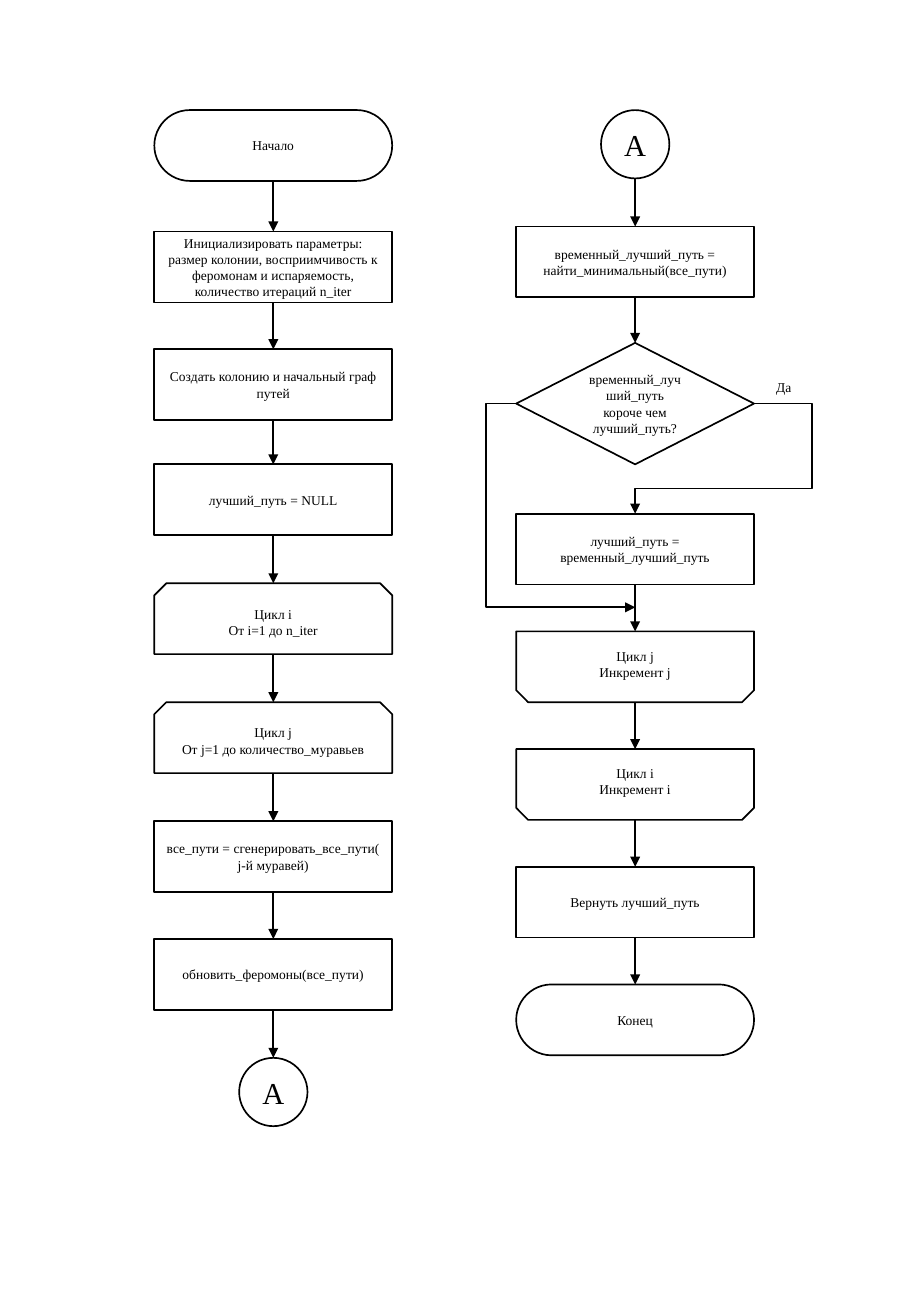
"""Builds a two-column flowchart of an ant colony algorithm."""
from lxml.etree import SubElement
from pptx import Presentation
from pptx.dml.color import RGBColor
from pptx.enum.shapes import MSO_CONNECTOR, MSO_SHAPE
from pptx.enum.text import MSO_ANCHOR, PP_ALIGN
from pptx.oxml.ns import qn
from pptx.util import Emu, Pt

BLACK = RGBColor(0, 0, 0)
WHITE = RGBColor(255, 255, 255)
FONT = "Times New Roman"
TEXT_SIZE = 8
LETTER_SIZE = 18

LEFT_X, RIGHT_X = 216, 502
BLOCK_W, BLOCK_H = 188, 56
DECISION_H = 96
CIRCLE = 54

RECT = MSO_SHAPE.RECTANGLE
TERMINAL = MSO_SHAPE.ROUNDED_RECTANGLE
LOOP = MSO_SHAPE.SNIP_2_SAME_RECTANGLE
DECISION = MSO_SHAPE.DIAMOND
LINK = MSO_SHAPE.OVAL
FOUR_SIDED = (RECT, TERMINAL, DECISION)
LOOP_START, LOOP_END = (0.17, 0), (0, 0.17)
SIZES = {LINK: (CIRCLE, CIRCLE), DECISION: (BLOCK_W, DECISION_H)}

LEFT_STEPS = [
    (87, TERMINAL, "Начало", (0.5,)),
    (183, RECT, "Инициализировать параметры: размер колонии, восприимчивость к "
                "феромонам и испаряемость, количество итераций n_iter", ()),
    (276, RECT, "Создать колонию и начальный граф путей", ()),
    (367, RECT, "лучший_путь = NULL", ()),
    (461, LOOP, "Цикл i\nОт i=1 до n_iter", LOOP_START),
    (555, LOOP, "Цикл j\nОт j=1 до количество_муравьев", LOOP_START),
    (649, RECT, "все_пути = сгенерировать_все_пути(\nj-й муравей)", ()),
    (742, RECT, "обновить_феромоны(все_пути)", ()),
    (836, LINK, "А", ()),
]
SEARCH_STEPS = [
    (87, LINK, "А", ()),
    (179, RECT, "временный_лучший_путь = найти_минимальный(все_пути)", ()),
    (271, DECISION, "временный_лучший_путь короче чем лучший_путь?", ()),
]
UPDATE_STEPS = [
    (406, RECT, "лучший_путь = временный_лучший_путь", ()),
    (499, LOOP, "Цикл j\nИнкремент j", LOOP_END),
    (592, LOOP, "Цикл i\nИнкремент i", LOOP_END),
    (685, RECT, "Вернуть лучший_путь", ()),
    (778, TERMINAL, "Конец", (0.5,)),
]


def px(n):
    return Emu(n * 9525)


def write(s, text, size):
    tf = s.text_frame
    tf.word_wrap = True
    tf.text = text
    for p in tf.paragraphs:
        p.alignment = PP_ALIGN.CENTER
        p.font.name = FONT
        p.font.size = Pt(size)
        p.font.color.rgb = BLACK


def add_block(slide, cx, top, kind, text, adjustments):
    w, h = SIZES.get(kind, (BLOCK_W, BLOCK_H))
    s = slide.shapes.add_shape(kind, px(cx - w // 2), px(top), px(w), px(h))
    for i, value in enumerate(adjustments):
        s.adjustments[i] = value
    s.shadow.inherit = False
    s.fill.solid()
    s.fill.fore_color.rgb = WHITE
    s.line.color.rgb = BLACK
    s.line.width = Pt(1)
    s.text_frame.vertical_anchor = MSO_ANCHOR.MIDDLE
    write(s, text, LETTER_SIZE if kind == LINK else TEXT_SIZE)
    return s


def add_arrow(slide, kind, x1, y1, x2, y2):
    c = slide.shapes.add_connector(kind, px(x1), px(y1), px(x2), px(y2))
    c.line.color.rgb = BLACK
    c.line.width = Pt(1)
    SubElement(c.line._get_or_add_ln(), qn("a:tailEnd"), type="triangle")
    SubElement(c._element.spPr, qn("a:effectLst"))
    return c


def add_bent_arrow(slide, preset, start, end, bends):
    c = add_arrow(slide, MSO_CONNECTOR.ELBOW, *start, *end)
    geom = c._element.spPr.find(qn("a:prstGeom"))
    geom.set("prst", preset)
    guides = geom.find(qn("a:avLst"))
    for i, (bend, a, b) in enumerate(zip(bends, start, end), 1):
        value = round(100000 * (bend - a) / (b - a))
        SubElement(guides, qn("a:gd"), name=f"adj{i}", fmla=f"val {value}")


def add_chain(slide, cx, steps):
    blocks = [add_block(slide, cx, *step) for step in steps]
    for i in range(len(steps) - 1):
        (top, kind, *_), (next_top, next_kind, *_) = steps[i:i + 2]
        bottom = top + SIZES.get(kind, (BLOCK_W, BLOCK_H))[1]
        c = add_arrow(slide, MSO_CONNECTOR.STRAIGHT, cx, bottom, cx, next_top)
        if kind in FOUR_SIDED:
            c.begin_connect(blocks[i], 2)
        if next_kind in FOUR_SIDED:
            c.end_connect(blocks[i + 1], 0)


def add_label(slide, text, x, y, w, h):
    s = slide.shapes.add_textbox(px(x), px(y), px(w), px(h))
    write(s, text, TEXT_SIZE)


def main():
    prs = Presentation()
    prs.slide_width, prs.slide_height = px(720), px(1040)
    slide = prs.slides.add_slide(prs.slide_layouts[6])

    add_chain(slide, LEFT_X, LEFT_STEPS)
    add_chain(slide, RIGHT_X, SEARCH_STEPS)
    add_chain(slide, RIGHT_X, UPDATE_STEPS)

    decision_y = SEARCH_STEPS[-1][0] + DECISION_H // 2
    right, left = RIGHT_X + BLOCK_W // 2, RIGHT_X - BLOCK_W // 2
    add_bent_arrow(slide, "bentConnector4", (right, decision_y),
                   (RIGHT_X, UPDATE_STEPS[0][0]), (642, 386))
    add_bent_arrow(slide, "bentConnector3", (left, decision_y),
                   (RIGHT_X, 480), (384,))
    add_label(slide, "Да", right, 295, 47, 23)

    prs.save("out.pptx")


if __name__ == "__main__":
    main()
